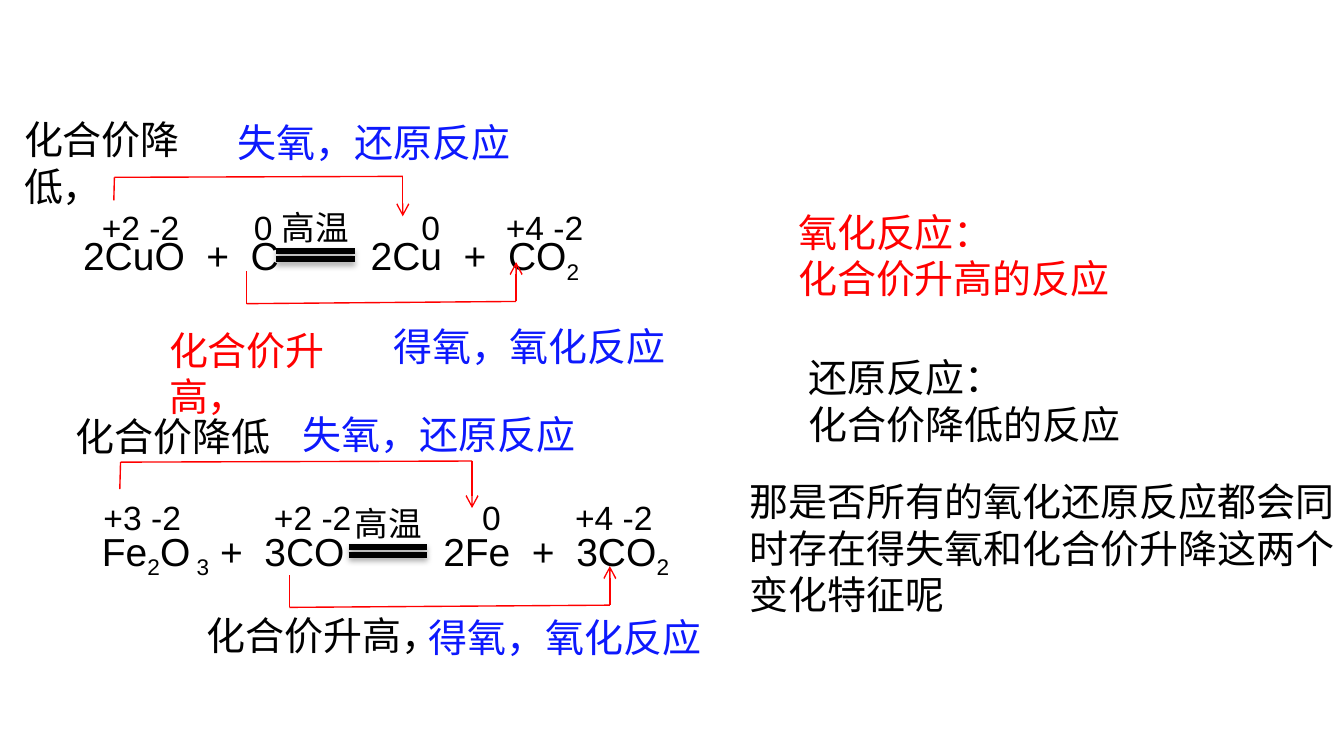
"""Build a slide on valence changes in two redox reactions."""
from lxml import etree
from pptx import Presentation, util as u
from pptx.dml.color import RGBColor
from pptx.enum import shapes, text
from pptx.oxml.ns import qn

HUES = {"ink": "000000", "red": "FF0000", "blue": "0D19FD"}
LATIN, HAN = "Arial", "Noto Sans CJK SC"
BIG, SMALL = 20.9, 18
TALL, LOW = 32.4, 28.8
LOSS, GAIN = "失氧，还原反应", "得氧，氧化反应"

RULES = [
    (426.2, 185.8, "ink", ["还原反应：", "化合价降低的反应"]),
    (420.5, 108, "red", ["氧化反应：", "化合价升高的反应"]),
]
QUERY = "那是否所有的氧化还原反应都会同时存在得失氧和化合价升降这两个变化特征呢"
HALVES = [
    (37.4, 120.7, 373, ["2CuO  +  C"]),
    (191.5, 120.7, 149, ["2Cu  +  CO", "2"]),
    (47.5, 278.9, 373, ["Fe", "2", "O", " 3", " +  3CO"]),
    (230.4, 278.9, 149, ["2Fe  +  3CO", "2"]),
]
HEATS = [(143.8, 107.3), (182.8, 265.7)]
BARS = [(148, 134.6), (186.8, 293)]
VALENCES = [
    (47.5, 107.3, 295.2, "+2 -2\t0\t0\t+4 -2", (81.4, 171.2, 216.4)),
    (48.4, 262.8, 348.5, "+3 -2\t+2 -2\t0\t+4 -2", (91.3, 202.8, 252.6)),
]
BRACKETS = [
    [(61, 107.3), (61.3, 95), (215.8, 94.5), (215.8, 115.9)],
    [(132.2, 145.4), (132.2, 162.7), (276.5, 161.5), (276.5, 140.4)],
    [(64.2, 262.1), (64.6, 247.6), (252.9, 247), (252.9, 272.2)],
    [(155, 308.2), (155, 325.4), (326.7, 324.2), (326.7, 303.3)],
]
CHANGES = [
    (5.8, 58.3, 137.5, "ink", "化合价降低，"),
    (33.3, 217.2, 170.6, "ink", "化合价降低"),
    (83.5, 171.2, 120.2, "red", "化合价升高，"),
    (103.7, 324, 170.6, "ink", "化合价升高，"),
]
OXYGEN = [(120.2, 59.8, LOSS), (203.5, 169.2, GAIN),
          (155, 216.2, LOSS), (222.5, 325.4, GAIN)]

deck = Presentation()
deck.slide_width, deck.slide_height = u.Pt(720), u.Pt(405)
slide = deck.slides.add_slide(deck.slide_layouts[6])


def color(hue):
    return RGBColor.from_string(HUES[hue])


def write(x, y, wide, high, lines, hue="ink", size=BIG, face=LATIN, wrap=True):
    """Place lines of text; every second run in a line is a subscript."""
    box = slide.shapes.add_textbox(*map(u.Pt, (x, y, wide, high)))
    frame = box.text_frame
    form = {"word_wrap": wrap, "auto_size": text.MSO_AUTO_SIZE.SHAPE_TO_FIT_TEXT}
    for key, val in form.items():
        setattr(frame, key, val)
    for row, parts in enumerate(lines):
        para = frame.paragraphs[0] if row == 0 else frame.add_paragraph()
        para._p.get_or_add_pPr().set("hangingPunct", "0")
        for spot, part in enumerate(parts):
            run = para.add_run()
            run.text = part
            for key, val in {"name": face, "size": u.Pt(size)}.items():
                setattr(run.font, key, val)
            run.font.color.rgb = color(hue)
            if spot % 2:
                run.font._element.set("baseline", "-25000")
    return frame.paragraphs[0]


def draw(start, end, hue, width, arrow=False, shade=False):
    """Draw a straight line with an optional arrowhead or shadow."""
    line = slide.shapes.add_connector(
        shapes.MSO_CONNECTOR.STRAIGHT, *map(u.Pt, (*start, *end)))
    line.line.color.rgb = color(hue)
    line.line.width = u.Pt(width)
    if arrow:
        etree.SubElement(line.line._get_or_add_ln(), qn("a:tailEnd"), type="arrow")
    fx = etree.SubElement(line._element.spPr, qn("a:effectLst"))
    if shade:
        cast = etree.SubElement(
            fx, qn("a:outerShdw"), blurRad=str(u.Pt(3.1)), dist=str(u.Pt(1.8)),
            dir="5400000", rotWithShape="0")
        tint = etree.SubElement(cast, qn("a:srgbClr"), val=HUES["ink"])
        etree.SubElement(tint, qn("a:alpha"), val="35000")


for x, y, hue, lines in RULES:
    write(x, y, 182.9, 58.3, [[line] for line in lines], hue, face=HAN, wrap=False)
write(394.6, 252.2, 331.2, 83.5, [[QUERY]])

for x, y, wide, parts in HALVES:
    write(x, y, wide, TALL, [parts])
for x, y in HEATS:
    write(x, y, 54.4, LOW, [["高温"]], size=SMALL)
for x, y in BARS:
    for drop in (0, 4.3):
        draw((x, y + drop), (x + 42.1, y + drop), "ink", 3, shade=True)

for x, y, wide, words, stops in VALENCES:
    para = write(x, y, wide, LOW, [[words]], size=SMALL)
    tabs = etree.SubElement(para._p.get_or_add_pPr(), qn("a:tabLst"))
    for stop in stops:
        etree.SubElement(tabs, qn("a:tab"), pos=str(u.Pt(stop)), algn="l")

for nodes in BRACKETS:
    for spot, (start, end) in enumerate(zip(nodes, nodes[1:])):
        draw(start, end, "red", 0.75, arrow=spot == 2)

for x, y, wide, hue, words in CHANGES:
    write(x, y, wide, TALL, [[words]], hue)
for x, y, words in OXYGEN:
    write(x, y, 162, TALL, [[words]], "blue", wrap=False)

deck.save("out.pptx")
